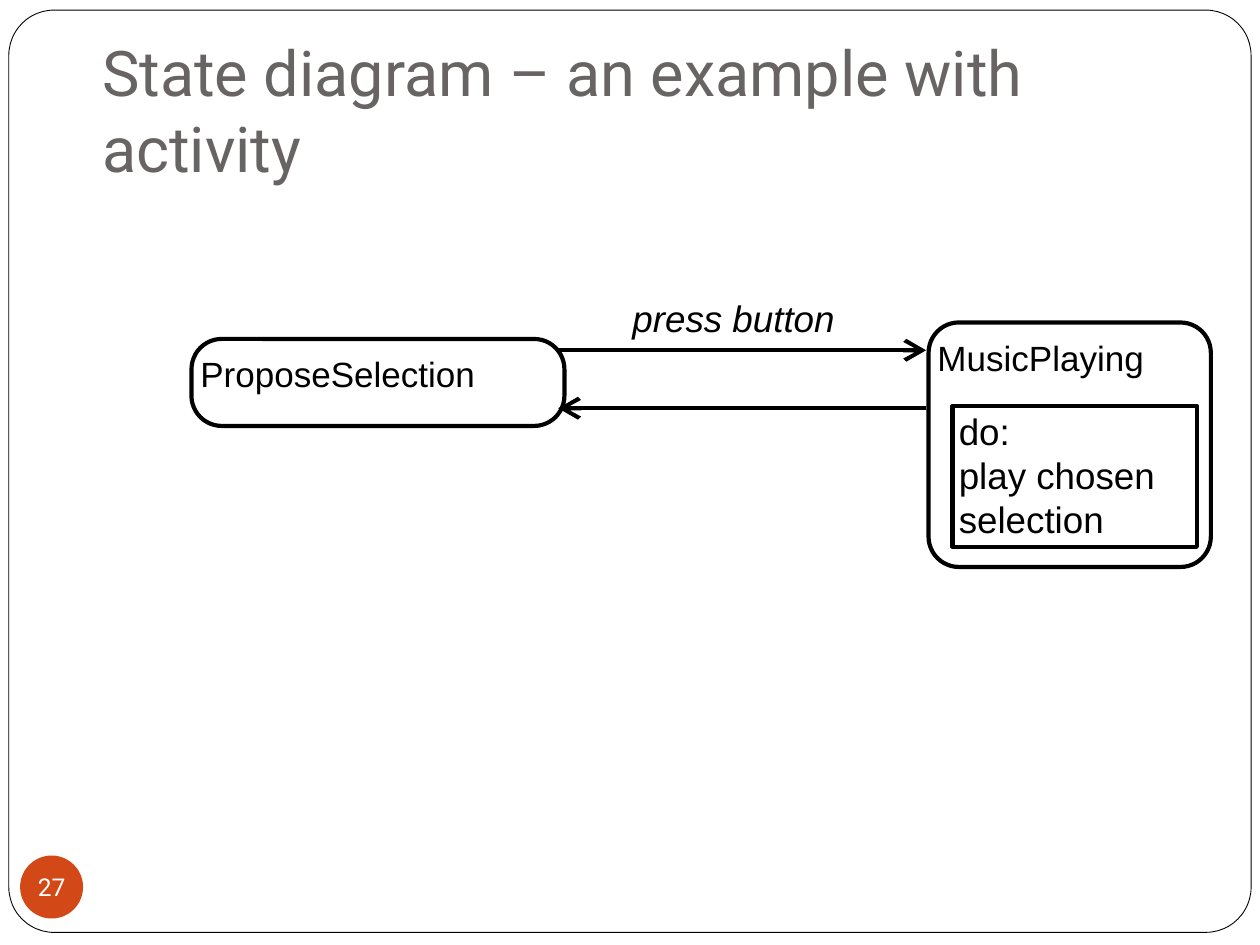
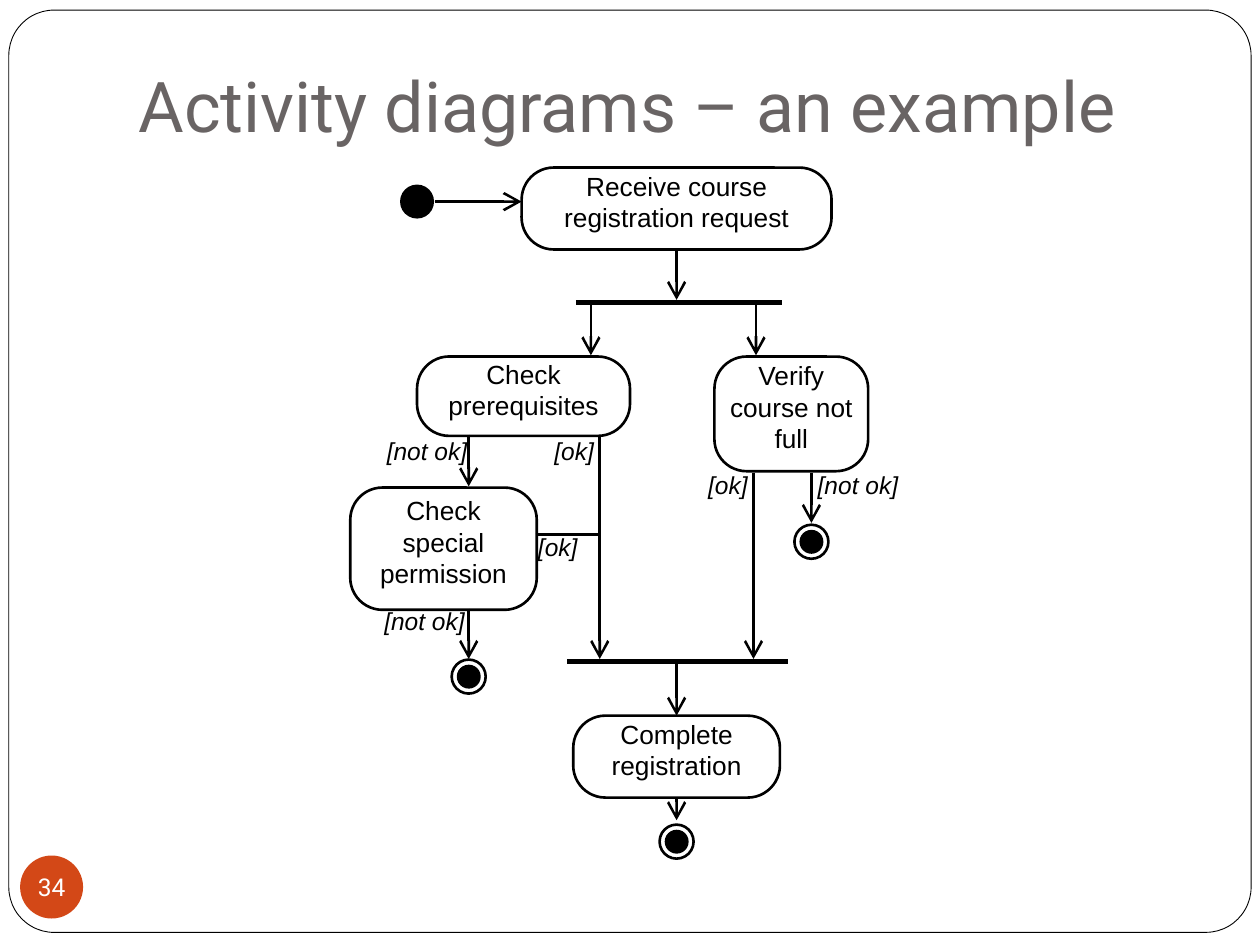
from pptx import Presentation
from pptx.dml.color import RGBColor
from pptx.enum.shapes import MSO_CONNECTOR, MSO_SHAPE
from pptx.enum.text import MSO_ANCHOR, MSO_AUTO_SIZE, PP_ALIGN
from pptx.oxml.ns import qn
from pptx.util import Inches, Pt
from lxml.etree import SubElement

# Shared look
BLACK, WHITE, GREY, RED = "000000", "FFFFFF", "696464", "D34817"
HEAD, BODY = "Roboto", "Arial"
THIN, BOLD, BAR = 1.5, 2.38, 3
RING, DOT = 0.27, 0.19


def color(code):
    return RGBColor.from_string(code)


def put(item, values):
    for name, value in values.items():
        setattr(item, name, value)


def write(frame, text, size, face=BODY, ink=BLACK, italic=False,
          align=PP_ALIGN.LEFT, anchor=MSO_ANCHOR.TOP, wrap=False,
          pad=(0, 0, 0, 0)):
    """Fill a text frame; pad is left, top, right, bottom."""
    left, top, right, bottom = (Inches(p) for p in pad)
    frame.text = text
    put(frame, {"word_wrap": wrap, "auto_size": MSO_AUTO_SIZE.NONE,
                "vertical_anchor": anchor, "margin_left": left,
                "margin_top": top, "margin_right": right,
                "margin_bottom": bottom})
    for para in frame.paragraphs:
        para.alignment = align
        put(para.font, {"size": Pt(size), "name": face, "italic": italic})
        para.font.color.rgb = color(ink)


def shape(slide, kind, x, y, w, h, fill=None, line=None, radius=None):
    item = slide.shapes.add_shape(kind, Inches(x), Inches(y), Inches(w), Inches(h))
    item.shadow.inherit = False
    if radius:
        item.adjustments[0] = radius / min(w, h)
    if fill:
        item.fill.solid()
        item.fill.fore_color.rgb = color(fill)
    else:
        item.fill.background()
    if line:
        item.line.color.rgb = color(BLACK)
        item.line.width = Pt(line)
    else:
        item.line.fill.background()
    return item


def label(slide, text, x, y, w, h, size):
    box = slide.shapes.add_textbox(Inches(x), Inches(y), Inches(w), Inches(h))
    write(box.text_frame, text, size, italic=True)


def line(slide, x1, y1, x2, y2, width=THIN, head=True, start=None, end=None):
    """Draw a line; start leaves a box's bottom, end meets a box's top."""
    item = slide.shapes.add_connector(
        MSO_CONNECTOR.STRAIGHT, Inches(x1), Inches(y1), Inches(x2), Inches(y2))
    item.line.color.rgb = color(BLACK)
    item.line.width = Pt(width)
    if start:
        item.begin_connect(start, 2)
    if end:
        item.end_connect(end, 0)
    if head:
        SubElement(item.line._get_or_add_ln(), qn("a:tailEnd"),
                   type="arrow", w="lg", len="lg")
    SubElement(item._element.spPr, qn("a:effectLst"))


def disc(slide, x, y, size, fill=None, edge=None):
    """Draw a circle around the centre x, y."""
    return shape(slide, MSO_SHAPE.OVAL, x - size / 2, y - size / 2,
                 size, size, fill, edge)


def final(slide, x, y):
    disc(slide, x, y, RING, edge=THIN)
    disc(slide, x, y, DOT, BLACK)


def state(slide, text, x, y, w, h):
    box = shape(slide, MSO_SHAPE.ROUNDED_RECTANGLE, x, y, w, h, BLACK, BOLD, 0.24)
    box.fill.background()
    write(box.text_frame, text, 20, wrap=True, pad=(0, 0.04, 0, 0))


def action(slide, text, x, y, w, h):
    box = shape(slide, MSO_SHAPE.ROUNDED_RECTANGLE, x, y, w, h, WHITE, THIN, 0.255)
    write(box.text_frame, text, 15, align=PP_ALIGN.CENTER,
          anchor=MSO_ANCHOR.MIDDLE, pad=(0, 0, 0, 0.11))
    return box


def page(deck, text, number, x, y, size):
    """Add a slide with its frame, title and number badge."""
    slide = deck.slides.add_slide(deck.slide_layouts[5])
    title = slide.shapes.title
    put(title, {"left": Inches(x), "top": Inches(y),
                "width": Inches(8.5), "height": Inches(1.25)})
    write(title.text_frame, text, size, HEAD, GREY, anchor=MSO_ANCHOR.BOTTOM,
          wrap=True, pad=(0.1, 0.05, 0.1, 0.1))
    frame = shape(slide, MSO_SHAPE.ROUNDED_RECTANGLE, 0.07, 0.08, 9.86, 7.32,
                  WHITE, 0.5, 0.36)
    title.element.addprevious(frame.element)
    badge = disc(slide, 0.41, 7.04, 0.5, RED)
    write(badge.text_frame, str(number), 14, HEAD, WHITE,
          align=PP_ALIGN.CENTER, anchor=MSO_ANCHOR.MIDDLE)
    return slide


def music(deck):
    slide = page(deck, "State diagram – an example with activity", 27,
                 0.71, 0.32, 36)
    # States and the activity
    state(slide, "ProposeSelection", 1.52, 2.69, 2.96, 0.69)
    state(slide, "MusicPlaying", 7.37, 2.56, 2.24, 1.94)
    task = shape(slide, MSO_SHAPE.RECTANGLE, 7.56, 3.22, 1.94, 1.12, WHITE, BOLD)
    write(task.text_frame, "do:\nplay chosen\nselection", 21, wrap=True,
          pad=(0.05, 0.02, 0, 0))
    # Transitions
    line(slide, 4.43, 2.78, 7.35, 2.78, BOLD)
    line(slide, 7.35, 3.24, 4.43, 3.24, BOLD)
    label(slide, "press button", 5.02, 2.35, 1.84, 0.49, 21)


def course(deck):
    slide = page(deck, "Activity diagrams – an example", 34, 1, 0.01, 40)
    # Actions
    ask = action(slide, "Receive course\nregistration request", 4.14, 1.33, 2.46, 0.65)
    action(slide, "Check\nprerequisites", 3.31, 2.83, 1.69, 0.63)
    action(slide, "Verify\ncourse not\nfull", 5.67, 2.83, 1.22, 0.91)
    action(slide, "Check\nspecial\npermission", 2.78, 3.87, 1.48, 0.97)
    done = action(slide, "Complete\nregistration", 4.55, 5.68, 1.64, 0.65)
    # Fork and join bars
    line(slide, 4.57, 2.4, 6.21, 2.4, BAR, head=False)
    line(slide, 4.5, 5.25, 6.25, 5.25, BAR, head=False)
    # Flows along the middle
    mid = 5.37
    line(slide, mid, 1.98, mid, 2.38, start=ask)
    line(slide, mid, 5.25, mid, 5.68, end=done)
    line(slide, mid, 6.33, mid, 6.51, start=done)
    # Side flows: x, top, bottom
    for x, top, bottom in [(4.69, 2.42, 2.82), (6, 2.42, 2.82),
                           (3.72, 3.45, 3.86), (4.76, 3.45, 5.23),
                           (5.98, 3.75, 5.23), (6.44, 3.75, 4.15),
                           (3.72, 4.83, 5.23)]:
        line(slide, x, top, x, bottom)
    line(slide, 4.25, 4.24, 4.75, 4.24, head=False)
    # Start and end points
    disc(slide, 3.31, 1.6, RING, BLACK)
    line(slide, 3.45, 1.6, 4.14, 1.6)
    for x, y in [(3.72, 5.37), (mid, 6.68), (6.44, 4.3)]:
        final(slide, x, y)
    # Guards
    for text, x, y in [("[not ok]", 3.07, 3.46), ("[ok]", 4.4, 3.46),
                       ("[ok]", 4.27, 4.22), ("[not ok]", 3.05, 4.81),
                       ("[ok]", 5.62, 3.73), ("[not ok]", 6.49, 3.73)]:
        label(slide, text, x, y, 0.76, 0.32, 14)


def main():
    deck = Presentation()
    put(deck, {"slide_width": Inches(10), "slide_height": Inches(7.5)})
    music(deck)
    course(deck)
    deck.save("out.pptx")


if __name__ == "__main__":
    main()
